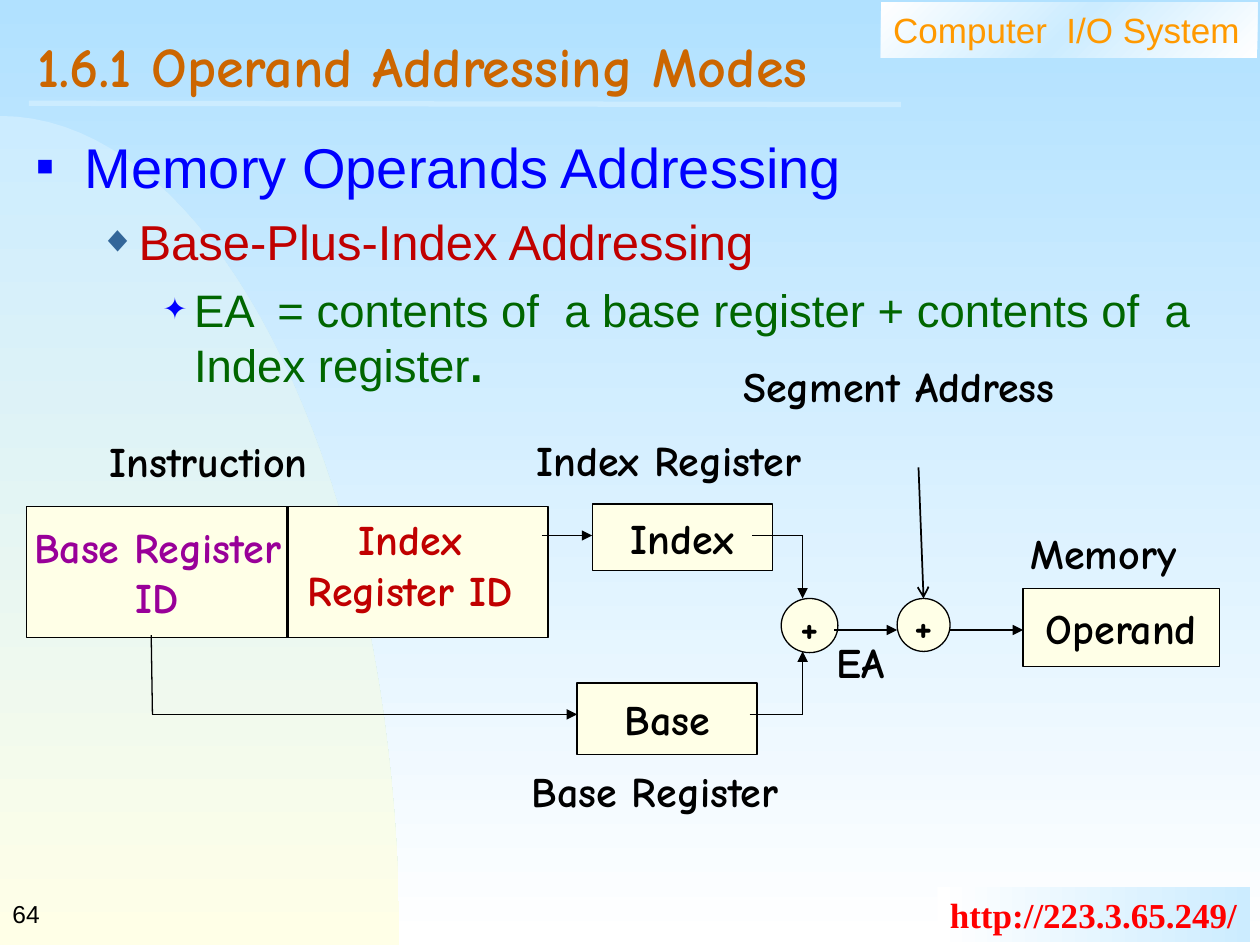
from dataclasses import dataclass
from typing import Any

from lxml.etree import SubElement
from pptx import Presentation
from pptx.dml.color import RGBColor
from pptx.enum.shapes import MSO_CONNECTOR, MSO_SHAPE
from pptx.enum.text import MSO_ANCHOR, MSO_AUTO_SIZE, PP_ALIGN
from pptx.oxml.ns import qn
from pptx.util import Inches, Pt

BLACK, CREAM, SKY, WHITE = "000000", "FFFFE7", "CCECFF", "FFFFFF"
BLUE, RED, PURPLE = "0000FF", "C00000", "990099"


def color(value):
    """Turn a hex string into a colour."""
    return RGBColor.from_string(value)


@dataclass
class Diagram:
    """Hold the style and the page that is being drawn."""

    page: Any
    font: str = "Comic Neue"
    size: float = 24
    line_width: float = 0.75

    def gradient(self, fill, owner, colors, angle):
        """Fill with evenly spaced colours, the angle running clockwise."""
        fill.gradient()
        fill.gradient_angle = (360 - angle) % 360
        stops = owner.find(".//" + qn("a:gsLst"))
        for stop in list(stops):
            stops.remove(stop)
        for index, value in enumerate(colors):
            position = str(100000 * index // (len(colors) - 1))
            stop = SubElement(stops, qn("a:gs"), pos=position)
            SubElement(stop, qn("a:srgbClr"), val=value)

    def background(self, colors):
        """Paint the page from top to bottom."""
        self.gradient(self.page.background.fill, self.page.element, colors, 90)

    def hill(self, top, right, bottom, colors, steps=40):
        """Draw the curved area in the lower left corner."""
        shoulder = right * 0.55
        knee = top + (bottom - top) * 0.45
        points = []
        for step in range(steps + 1):
            t = step / steps
            x = 3 * (1 - t) ** 2 * t * shoulder + 3 * (1 - t) * t**2 * right + t**3 * right
            y = ((1 - t) ** 3 + 3 * (1 - t) ** 2 * t) * top
            y += 3 * (1 - t) * t**2 * knee + t**3 * bottom
            points.append((Inches(x), Inches(y)))
        builder = self.page.shapes.build_freeform(0, Inches(top), scale=1.0)
        builder.add_line_segments(points[1:] + [(0, Inches(bottom))], close=True)
        shape = builder.convert_to_shape()
        shape.shadow.inherit = False
        shape.line.fill.background()
        self.gradient(shape.fill, shape.element, colors, 90)

    def style(self, span, value, size=None, font=None, bold=True):
        """Format one run."""
        span.font.name = font or self.font
        span.font.size = Pt(size or self.size)
        span.font.bold = bold
        span.font.color.rgb = color(value)

    def place(self, box, area):
        """Move a box to its left, top, width and height."""
        box.left, box.top, box.width, box.height = map(Inches, area)

    def put_text(self, box, text, value, align=PP_ALIGN.LEFT, anchor=MSO_ANCHOR.TOP,
                 wrap=True, **look):
        """Put one formatted paragraph into a box."""
        frame = box.text_frame
        frame.text = text
        frame.word_wrap = wrap
        frame.auto_size = MSO_AUTO_SIZE.NONE
        frame.vertical_anchor = anchor
        para = frame.paragraphs[0]
        para.alignment = align
        self.style(para.runs[0], value, **look)

    def label(self, text, area, value=BLACK, **options):
        """Add a text box."""
        box = self.page.shapes.add_textbox(*map(Inches, area))
        self.put_text(box, text, value, **options)

    def banner(self, text, area, colors, angle, value, **look):
        """Add a gradient strip with text."""
        box = self.page.shapes.add_shape(MSO_SHAPE.RECTANGLE, *map(Inches, area))
        box.shadow.inherit = False
        box.line.fill.background()
        self.gradient(box.fill, box.element, colors, angle)
        self.put_text(box, text, value, wrap=False, size=20, **look)

    def node(self, text, area, kind=MSO_SHAPE.RECTANGLE):
        """Add an outlined box or circle."""
        box = self.page.shapes.add_shape(kind, *map(Inches, area))
        box.shadow.inherit = False
        box.fill.solid()
        box.fill.fore_color.rgb = color(CREAM)
        box.line.color.rgb = color(BLACK)
        box.line.width = Pt(self.line_width)
        if text:
            self.put_text(box, text, BLACK, PP_ALIGN.CENTER, MSO_ANCHOR.MIDDLE, wrap=False)

    def line(self, start, end, head=None, value=BLACK, width=None):
        """Add a straight line with an optional arrowhead."""
        connector = self.page.shapes.add_connector(
            MSO_CONNECTOR.STRAIGHT, *map(Inches, start + end))
        connector.line.color.rgb = color(value)
        connector.line.width = Pt(width or self.line_width)
        properties = connector.element.spPr
        if head:
            SubElement(properties.find(qn("a:ln")), qn("a:tailEnd"), type=head)
        SubElement(properties, qn("a:effectLst"))

    def route(self, *points):
        """Join points with lines, the last one ending in an arrowhead."""
        last = len(points) - 2
        for index, (start, end) in enumerate(zip(points, points[1:])):
            self.line(start, end, "triangle" if index == last else None)

    def title(self, text, area, value):
        """Fill the title placeholder."""
        box = self.page.shapes.title
        box.element.getparent().append(box.element)
        self.place(box, area)
        self.put_text(box, text, value, anchor=MSO_ANCHOR.MIDDLE, size=32)
        box.text_frame.paragraphs[0].line_spacing = 0.7

    def bullets(self, area, items):
        """Fill the body placeholder with one paragraph per level."""
        box = self.page.placeholders[1]
        box.element.getparent().append(box.element)
        self.place(box, area)
        frame = box.text_frame
        frame.auto_size = MSO_AUTO_SIZE.NONE
        for level, (texts, value, size, before, margin, indent, mark) in enumerate(items):
            para = frame.paragraphs[0] if level == 0 else frame.add_paragraph()
            para.level = level
            para.space_before = Pt(before)
            properties = para._p.get_or_add_pPr()
            properties.set("marL", str(Inches(margin)))
            properties.set("indent", str(Inches(-indent)))
            symbol, tint, percent = mark
            bullet_color = SubElement(properties, qn("a:buClr"))
            SubElement(bullet_color, qn("a:srgbClr"), val=tint)
            SubElement(properties, qn("a:buSzPct"), val=str(percent * 1000))
            SubElement(properties, qn("a:buFont"), typeface="Arial")
            SubElement(properties, qn("a:buChar"), char=symbol)
            for index, text in enumerate(texts):
                span = para.add_run()
                span.text = text
                self.style(span, value, size, "Arial", bold=index > 0)


def main():
    """Build the slide and save it."""
    deck = Presentation()
    deck.slide_width, deck.slide_height = Inches(10), Inches(7.5)
    diagram = Diagram(deck.slides.add_slide(deck.slide_layouts[1]))

    diagram.background(["B1E1FF", WHITE])
    diagram.hill(0.92, 3.17, 7.5, [SKY, CREAM])
    diagram.banner("Computer  I/O System", (6.99, 0.02, 2.99, 0.44), [WHITE, SKY, WHITE], 45,
                   "FF9900", font="Arial", bold=False)
    diagram.banner("http://223.3.65.249/", (7.44, 7.04, 2.48, 0.44), [WHITE, SKY], 0,
                   "FF0000", font="Times New Roman")
    diagram.line((0.23, 0.82), (7.15, 0.83), value=SKY, width=3)
    diagram.title("1.6.1 Operand Addressing Modes", (0.2, 0.2, 9.55, 0.77), "CC6600")
    diagram.bullets((0.19, 1, 9.6, 6.16), [
        (["Memory Operands Addressing"], BLUE, 32, 0, 0.38, 0.38, ("■", BLUE, 50)),
        (["Base-Plus-Index Addressing"], RED, 28, 7, 0.81, 0.31, ("◆", "336699", 75)),
        (["EA  = contents of  a base register + contents of  a Index register", "."],
         "006600", 26, 6.5, 1.25, 0.25, ("✦", BLUE, 65)),
    ])
    diagram.label("64", (0, 7, 2.08, 0.5), anchor=MSO_ANCHOR.MIDDLE,
                  size=14, font="Arial", bold=False)

    diagram.node("", (0.21, 4.02, 4.14, 1.04))
    diagram.node("Index", (4.7, 4, 1.43, 0.53))
    diagram.node("Base", (4.58, 5.42, 1.43, 0.57))
    diagram.node("+", (7.12, 4.75, 0.42, 0.42), MSO_SHAPE.OVAL)
    diagram.node("+", (6.2, 4.75, 0.45, 0.43), MSO_SHAPE.OVAL)
    diagram.node("Operand", (8.12, 4.67, 1.56, 0.62))

    diagram.route((4.3, 4.25), (4.7, 4.25))
    diagram.route((1.2, 5.04), (1.21, 5.67), (4.58, 5.67))
    diagram.route((5.97, 4.25), (6.37, 4.25), (6.37, 4.75))
    diagram.route((5.95, 5.67), (6.37, 5.67), (6.37, 5.17))
    diagram.route((6.62, 5), (7.12, 5))
    diagram.route((7.54, 5), (8.12, 5))
    diagram.line((2.28, 4.02), (2.28, 5.06), width=1.5)
    diagram.line((7.29, 3.71), (7.33, 4.75), head="arrow", width=1)

    for text, left, top, width in [
        ("Instruction", 0.77, 3.41, 2.94),
        ("Index Register", 4.16, 3.4, 2.65),
        ("Base Register", 4.12, 6.03, 2.49),
        ("Segment Address", 5.8, 2.81, 2.98),
        ("Memory", 8.08, 4.14, 1.52),
        ("EA", 6.54, 5, 0.77),
    ]:
        diagram.label(text, (left, top, width, 0.5))
    diagram.label("Base Register ID", (0.09, 4.09, 2.32, 0.9), PURPLE, align=PP_ALIGN.CENTER)
    diagram.label("Index Register ID", (2.15, 4.03, 2.21, 0.9), RED, align=PP_ALIGN.CENTER)

    deck.save("out.pptx")


if __name__ == "__main__":
    main()
